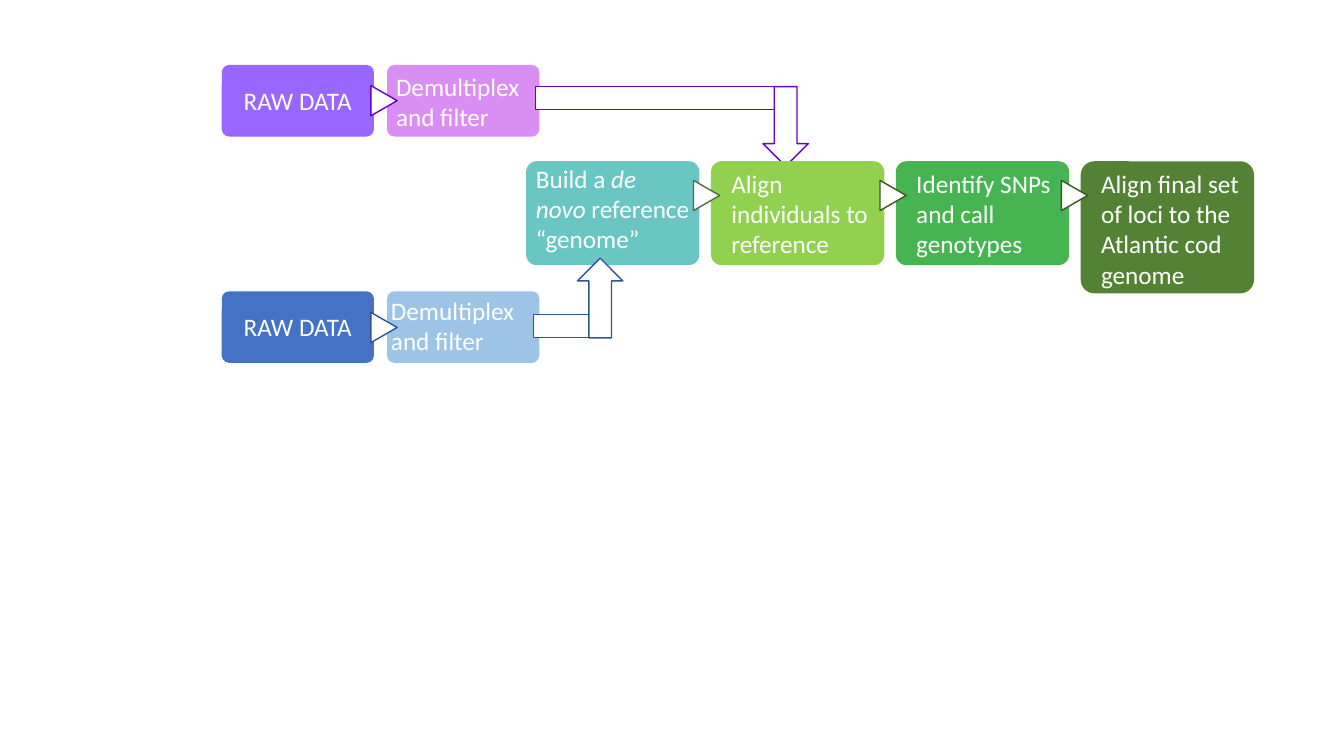
from dataclasses import dataclass

from pptx import Presentation
from pptx.dml.color import RGBColor
from pptx.enum.shapes import MSO_SHAPE
from pptx.enum.text import MSO_AUTO_SIZE
from pptx.util import Pt

ROUNDED = MSO_SHAPE.ROUNDED_RECTANGLE
RECTANGLE = MSO_SHAPE.RECTANGLE
TRIANGLE = MSO_SHAPE.FLOWCHART_EXTRACT
DOWN_ARROW = MSO_SHAPE.DOWN_ARROW
GROW = MSO_AUTO_SIZE.SHAPE_TO_FIT_TEXT

COLORS = {
    "white": "FFFFFF",
    "violet": "9966FF",
    "pink": "DA8DF3",
    "violet_line": "6600CC",
    "blue": "4472C4",
    "light_blue": "9DC3E6",
    "blue_line": "2F5597",
    "teal": "6AC6C2",
    "lime": "92D050",
    "green": "45B451",
    "dark_green": "548235",
    "sage_line": "516C3F",
    "green_line": "385723",
}

CORNER = 0.103
SAMPLE_LEFT, SAMPLE_PITCH = 158.4, 118.1
SAMPLE_WIDTH, SAMPLE_HEIGHT = 108.7, 51.1
STAGE_LEFT, STAGE_TOP, STAGE_PITCH = 375.8, 115.2, 132.05
STAGE_WIDTH, TEXT_WIDTH = 123.8, 124.6
TRIANGLE_WIDTH, TRIANGLE_HEIGHT = 21.6, 18.7
ARROW_WIDTH, ARROW_HEIGHT, BAR_HEIGHT = 32.4, 56.9, 16.5


@dataclass(frozen=True)
class Box:
    left: float
    top: float
    width: float
    height: float


@dataclass(frozen=True)
class Run:
    text: str
    italic: bool = False


@dataclass(frozen=True)
class SampleRow:
    top: float
    raw_fill: str
    filter_fill: str
    line: str
    filter_text_left: float
    filter_text_top: float
    triangle_top: float
    bar: Box
    arrow_left: float
    arrow_top: float
    arrow_rotation: float


@dataclass(frozen=True)
class Stage:
    runs: tuple[Run, ...]
    fill: str
    height: float
    text_shift: float
    text_top: float
    text_height: float


@dataclass(frozen=True)
class Step:
    left: float
    line: str


SAMPLE_ROWS = (
    SampleRow(46.4, "violet", "pink", "violet_line", 275.8, 47.5, 62.6,
              Box(382.3, 61.9, 185.8, BAR_HEIGHT), 545, 61.9, 0),
    SampleRow(208.1, "blue", "light_blue", "blue_line", 272.2, 207.4, 224.6,
              Box(381.2, 224.6, 55.4, BAR_HEIGHT), 412.5, 184.4, 180),
)

STAGES = (
    Stage((Run("Build a "), Run("de novo ", True), Run("reference “genome”")),
          "teal", 74.2, 0, 113, 72.7),
    Stage((Run("Align individuals to reference"),), "lime", 74.2, 7.5, 116.6, 72.7),
    Stage((Run("Identify SNPs and call genotypes"),), "green", 74.2, 7.5, 116.6, 72.7),
    Stage((Run("Align final set of loci to the Atlantic cod genome"),),
          "dark_green", 94.3, 7.5, 116.6, 94.3),
)

STEPS = (
    Step(493.9, "sage_line"),
    Step(627.1, "green_line"),
    Step(756.7, "green_line"),
)


def color(name: str) -> RGBColor:
    return RGBColor.from_string(COLORS[name])


def place(box: Box) -> tuple[Pt, Pt, Pt, Pt]:
    return Pt(box.left), Pt(box.top), Pt(box.width), Pt(box.height)


def add_figure(slide, kind, box: Box, fill: str = "white",
               line: str | None = None, rotation: float = 0):
    shape = slide.shapes.add_shape(kind, *place(box))
    shape.shadow.inherit = False
    shape.fill.solid()
    shape.fill.fore_color.rgb = color(fill)
    shape.rotation = rotation
    if line is None:
        shape.line.fill.background()
    else:
        shape.line.color.rgb = color(line)
        shape.line.width = Pt(1)
    return shape


def add_rounded(slide, box: Box, fill: str) -> None:
    add_figure(slide, ROUNDED, box, fill).adjustments[0] = CORNER


def add_triangle(slide, left: float, top: float, line: str) -> None:
    box = Box(left, top, TRIANGLE_WIDTH, TRIANGLE_HEIGHT)
    add_figure(slide, TRIANGLE, box, line=line, rotation=90)


def add_text(slide, runs: tuple[Run, ...], box: Box, *, size: float = 18,
             font: str = "Calibri", font_color: str = "white") -> None:
    frame = slide.shapes.add_textbox(*place(box)).text_frame
    frame.word_wrap = True
    frame.auto_size = GROW
    paragraph = frame.paragraphs[0]
    for item in runs:
        run = paragraph.add_run()
        run.text = item.text
        run.font.size = Pt(size)
        run.font.name = font
        run.font.italic = item.italic
        run.font.color.rgb = color(font_color)


def add_sample_row(slide, row: SampleRow) -> None:
    for index, fill in enumerate((row.raw_fill, row.filter_fill)):
        left = SAMPLE_LEFT + index * SAMPLE_PITCH
        add_rounded(slide, Box(left, row.top, SAMPLE_WIDTH, SAMPLE_HEIGHT), fill)
    add_text(slide, (Run("RAW DATA"),), Box(167, row.top + 11, 98.6, 28.8))
    add_text(slide, (Run("Demultiplex and filter"),),
             Box(row.filter_text_left, row.filter_text_top, TEXT_WIDTH, SAMPLE_HEIGHT))
    add_triangle(slide, 263.5, row.triangle_top, row.line)
    add_figure(slide, RECTANGLE, row.bar, line=row.line)
    arrow = Box(row.arrow_left, row.arrow_top, ARROW_WIDTH, ARROW_HEIGHT)
    add_figure(slide, DOWN_ARROW, arrow, line=row.line, rotation=row.arrow_rotation)


def add_stages(slide) -> None:
    for index, stage in enumerate(STAGES):
        left = STAGE_LEFT + index * STAGE_PITCH
        add_rounded(slide, Box(left, STAGE_TOP, STAGE_WIDTH, stage.height), stage.fill)
        add_text(slide, stage.runs, Box(left + stage.text_shift, stage.text_top,
                                        TEXT_WIDTH, stage.text_height))
    for step in STEPS:
        add_triangle(slide, step.left, 130.3, step.line)


def main() -> None:
    presentation = Presentation()
    presentation.slide_width = Pt(960)
    presentation.slide_height = Pt(540)
    slide = presentation.slides.add_slide(presentation.slide_layouts[6])
    upper_row, lower_row = SAMPLE_ROWS
    add_sample_row(slide, upper_row)
    add_stages(slide)
    add_sample_row(slide, lower_row)
    presentation.save("out.pptx")


if __name__ == "__main__":
    main()
